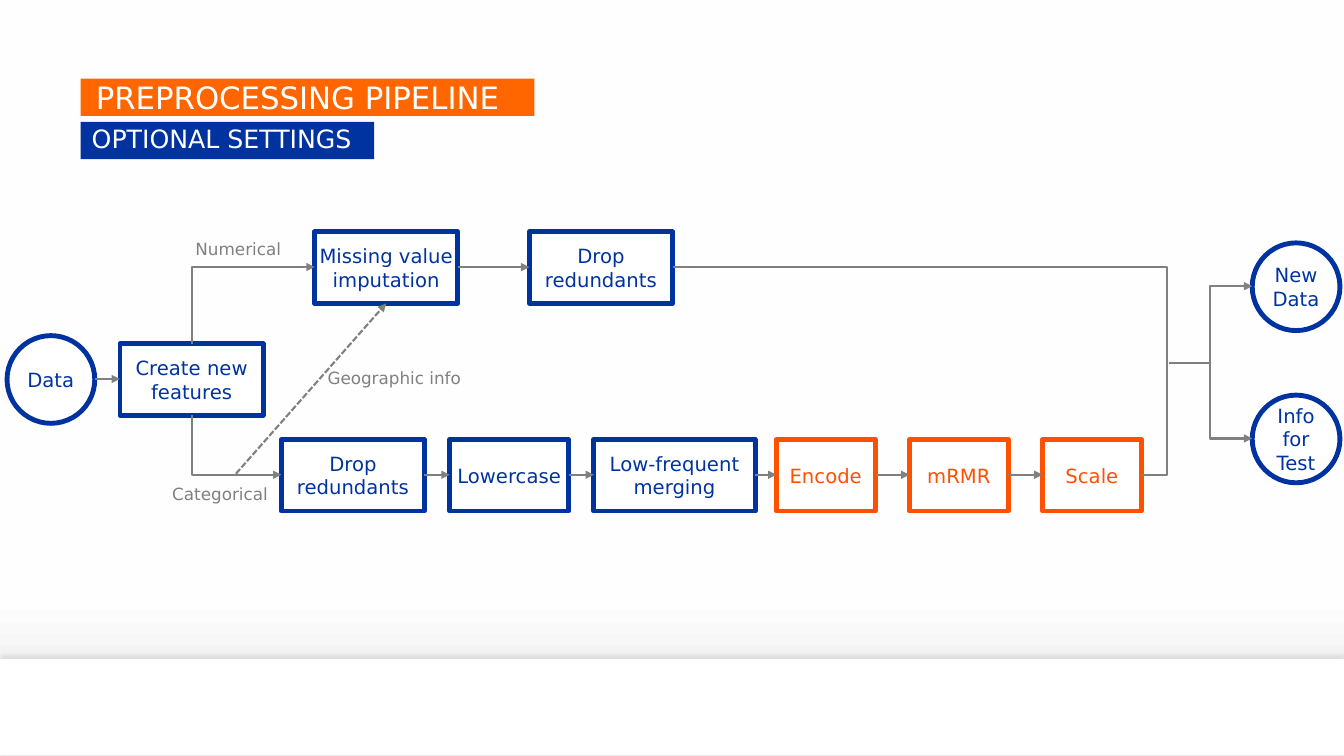
from lxml.etree import SubElement
from pptx import Presentation
from pptx.dml.color import RGBColor
from pptx.enum.dml import MSO_LINE
from pptx.enum.shapes import MSO_CONNECTOR, MSO_SHAPE
from pptx.enum.text import MSO_ANCHOR, MSO_AUTO_SIZE, PP_ALIGN
from pptx.oxml.ns import qn
from pptx.util import Pt

EMU_PER_PX = 9144  # 100 px to the inch
BLUE, ORANGE, GREY, WHITE = "0033A0", "FF5000", "808080", "FFFFFF"
TITLE_ORANGE, SUBTITLE_BLUE = "FF6600", "00339F"


def px(length):
    return round(length * EMU_PER_PX)


def rgb(color):
    return RGBColor.from_string(color)


def add_xml(parent, tag, **attributes):
    return SubElement(parent, qn(tag), attributes)


def write(text_frame, text, *, size, color, align=PP_ALIGN.LEFT, anchor=MSO_ANCHOR.TOP,
          margins=(10, 5, 10, 5), line_spacing=None):
    """Fill a text frame; margins are left, top, right, bottom in px."""
    text_frame.text = text
    text_frame.word_wrap = True
    text_frame.auto_size = MSO_AUTO_SIZE.NONE
    text_frame.vertical_anchor = anchor
    for side, margin in zip(("left", "top", "right", "bottom"), margins):
        setattr(text_frame, f"margin_{side}", px(margin))
    for paragraph in text_frame.paragraphs:
        paragraph.alignment = align
        paragraph.line_spacing = line_spacing
        paragraph.font.name = "DejaVu Sans"
        paragraph.font.size = Pt(size)
        paragraph.font.color.rgb = rgb(color)


class FlowSlide:
    def __init__(self, presentation):
        self.slide = presentation.slides.add_slide(presentation.slide_layouts[5])
        self.shapes = self.slide.shapes

    def background(self, stops):
        """Fill downwards with two (position, colour) stops."""
        fill = self.slide.background.fill
        fill.gradient()
        fill.gradient_angle = 270
        for stop, (position, color) in zip(fill.gradient_stops, stops):
            stop.position = position
            stop.color.rgb = rgb(color)

    def title(self, text, left, top, width, height):
        title = self.shapes.title
        title.left, title.top, title.width, title.height = map(px, (left, top, width, height))
        title.fill.solid()
        title.fill.fore_color.rgb = rgb(TITLE_ORANGE)
        write(title.text_frame, text, size=22, color=WHITE, anchor=MSO_ANCHOR.BOTTOM,
              margins=(15, 4, 16, 0), line_spacing=0.9)

    def panel(self, left, top, width, height, fill, line=None, kind=MSO_SHAPE.RECTANGLE):
        shape = self.shapes.add_shape(kind, *map(px, (left, top, width, height)))
        shape.shadow.inherit = False
        shape.fill.solid()
        shape.fill.fore_color.rgb = rgb(fill)
        if line:
            shape.line.color.rgb = rgb(line)
            shape.line.width = Pt(3.5)
        else:
            shape.line.fill.background()
        return shape

    def footer_band(self, top, height):
        band = self.panel(0, top, 1333, height, WHITE)
        effects = band.element.spPr.find(qn("a:effectLst"))
        shadow = add_xml(effects, "a:outerShdw", blurRad=str(Pt(4)), dist=str(Pt(3)),
                         dir="16200000", algn="b", rotWithShape="0")
        black = add_xml(shadow, "a:srgbClr", val="000000")
        add_xml(black, "a:alpha", val="10000")

    def subtitle(self, text, left, top, width, height):
        bar = self.panel(left, top, width, height, SUBTITLE_BLUE)
        write(bar.text_frame, text, size=18, color=WHITE, margins=(11, 4, 0, 4),
              line_spacing=0.95)

    def node(self, text, left, top, width, height, color=BLUE, kind=MSO_SHAPE.RECTANGLE):
        shape = self.panel(left, top, width, height, WHITE, color, kind)
        write(shape.text_frame, text, size=14, color=color, align=PP_ALIGN.CENTER,
              anchor=MSO_ANCHOR.MIDDLE, margins=(0, 0, 0, 0))

    def circle(self, text, left, top):
        self.node(text, left, top, 87, 87, kind=MSO_SHAPE.OVAL)

    def label(self, text, left, top, width):
        box = self.shapes.add_textbox(*map(px, (left, top, width, 30)))
        write(box.text_frame, text, size=12, color=GREY)

    def link(self, begin, end, kind=MSO_CONNECTOR.STRAIGHT, arrow=True, dashed=False):
        connector = self.shapes.add_connector(kind, *map(px, (*begin, *end)))
        connector.line.color.rgb = rgb(GREY)
        connector.line.width = Pt(1.5)
        if dashed:
            connector.line.dash_style = MSO_LINE.SQUARE_DOT
        if arrow:
            add_xml(connector.line._get_or_add_ln(), "a:tailEnd", type="triangle")
        add_xml(connector.element.spPr, "a:effectLst")
        return connector

    def elbow(self, begin, end, bend=None, arrow=True):
        """Go across, up or down, and across; bend is the turn as a share of the width."""
        connector = self.link(begin, end, MSO_CONNECTOR.ELBOW, arrow)
        if bend is not None:
            guides = connector.element.spPr.find(qn("a:prstGeom")).get_or_add_avLst()
            add_xml(guides, "a:gd", name="adj1", fmla=f"val {round(bend * 100000)}")

    def corner(self, begin, end):
        """Leave vertically and arrive from the left, as a turned one-bend connector."""
        (x1, y1), (x2, y2) = begin, end
        upward = y2 < y1
        middle_x, middle_y = (x1 + x2) / 2, (y1 + y2) / 2
        half_width, half_height = abs(y2 - y1) / 2, (x2 - x1) / 2
        drop = half_height if upward else -half_height
        connector = self.link((middle_x + half_width, middle_y + drop),
                              (middle_x - half_width, middle_y - drop), MSO_CONNECTOR.ELBOW)
        properties = connector.element.spPr
        properties.find(qn("a:prstGeom")).set("prst", "bentConnector2")
        properties.find(qn("a:xfrm")).set("rot", "5400000" if upward else "16200000")


def main():
    presentation = Presentation()
    presentation.slide_width, presentation.slide_height = px(1333), px(750)
    flow = FlowSlide(presentation)
    flow.background([(0.79, "FEFEFE"), (0.92, "EDEDED")])
    flow.footer_band(654, 95)
    flow.title("PREPROCESSING PIPELINE", 80, 78, 450, 37)
    flow.subtitle("OPTIONAL SETTINGS", 80, 121, 291, 37)

    box_height = 71
    numerical_top, start_top, categorical_top = 230, 341, 436
    numerical_y, start_y, categorical_y = 265, 376, 471
    numerical_steps = [("Missing value imputation", 312, 142, BLUE),
                       ("Drop redundants", 525, 142, BLUE)]
    categorical_steps = [("Drop redundants", 279, 142, BLUE), ("Lowercase", 446, 118, BLUE),
                         ("Low-frequent merging", 589, 160, BLUE), ("Encode", 770, 98, ORANGE),
                         ("mRMR", 902, 98, ORANGE), ("Scale", 1034, 98, ORANGE)]

    flow.circle("Data", 7, 333)
    flow.node("Create new features", 119, start_top, 142, box_height)
    flow.circle("New Data", 1242, 241)
    flow.circle("Info\nfor\nTest", 1242, 392)
    for steps, top, middle in ((numerical_steps, numerical_top, numerical_y),
                               (categorical_steps, categorical_top, categorical_y)):
        for text, left, width, color in steps:
            flow.node(text, left, top, width, box_height, color)
        for (_, left, width, _), (_, next_left, _, _) in zip(steps, steps[1:]):
            flow.link((left + width, middle), (next_left, middle))

    flow.link((94, start_y), (119, start_y))
    flow.corner((190, start_top), (312, numerical_y))
    flow.corner((190, start_top + box_height), (279, categorical_y))
    flow.link((234, 470), (383, numerical_top + box_height), dashed=True)
    flow.elbow((667, numerical_y), (1132, categorical_y), bend=1.054, arrow=False)
    for result_y in (284, 435):
        flow.elbow((1159, 360), (1242, result_y))

    flow.label("Numerical", 184, 232, 108)
    flow.label("Categorical", 161, 475, 118)
    flow.label("Geographic info", 315, 360, 225)
    presentation.save("out.pptx")


if __name__ == "__main__":
    main()
